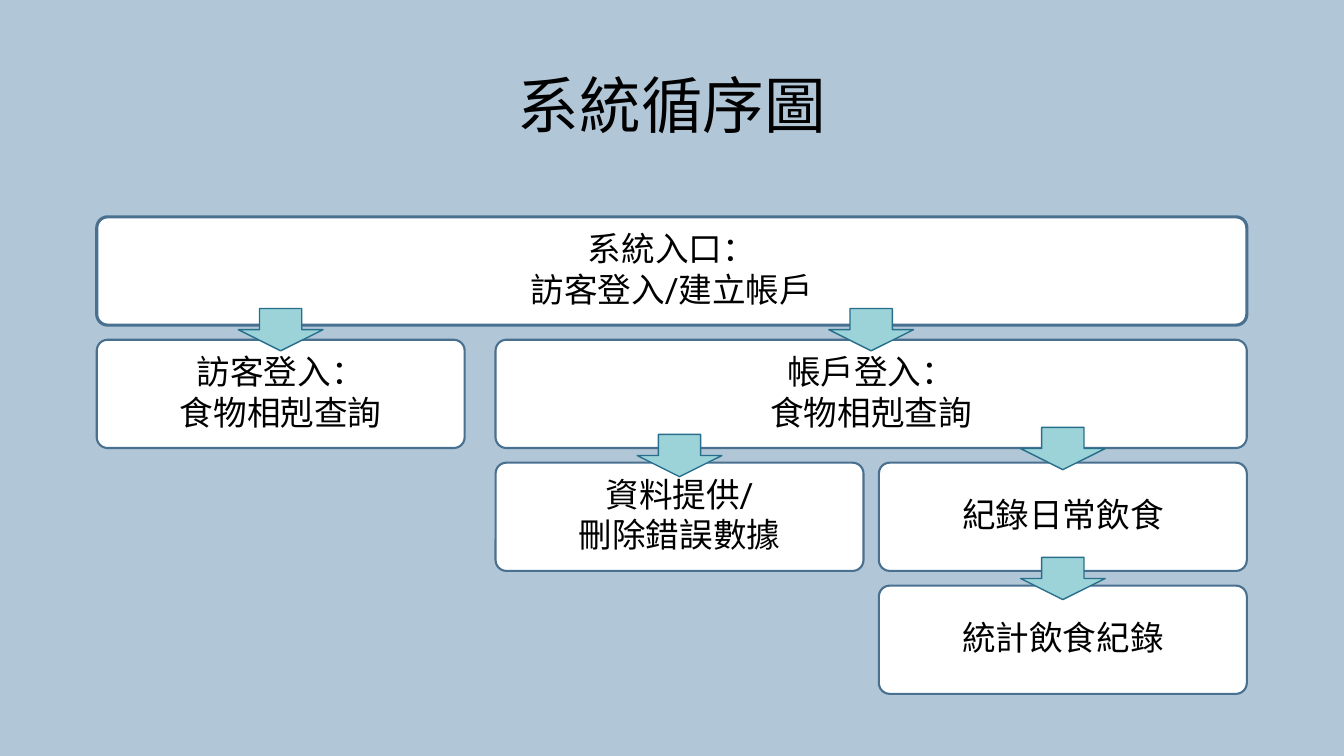
from pptx import Presentation
from pptx.dml.color import RGBColor
from pptx.enum.shapes import MSO_SHAPE as Shape
from pptx.enum.text import MSO_ANCHOR as Anchor, PP_ALIGN as Align
from pptx.util import Pt

TITLE = "系統循序圖"
BOXES = [
    {"lines": ["系統入口：", "訪客登入/建立帳戶"], "row": 0, "columns": (0, 2), "border": 2.25},
    {"lines": ["訪客登入：", "食物相剋查詢"], "row": 1, "columns": (0, 0), "arrow_rise": 22.3},
    {"lines": ["帳戶登入：", "食物相剋查詢"], "row": 1, "columns": (1, 2), "arrow_rise": 22.3},
    {"lines": ["資料提供/", "刪除錯誤數據"], "row": 2, "columns": (1, 1), "arrow_rise": 20.2},
    {"lines": ["紀錄日常飲食"], "row": 2, "columns": (2, 2), "arrow_rise": 25.2},
    {"lines": ["統計飲食紀錄"], "row": 3, "columns": (2, 2), "arrow_rise": 20.2},
]

COLUMN_LEFTS = (69.1, 354, 627.8)
COLUMN_WIDTH = 262.8
ROW_TOP, ROW_PITCH, BOX_HEIGHT = 154.9, 87.8, 77.3
ARROW_WIDTH, ARROW_HEIGHT = 60.5, 30.2
INSET = 9.4
TITLE_AREA = (48, 44, 864, 104.4)

BOX_FONT = {"name": "Roboto Slab", "size": Pt(24)}
TITLE_FONT = {"name": "Calibri", "size": Pt(44)}
BOX_PARAGRAPH = {"alignment": Align.CENTER, "line_spacing": 0.9, "space_after": Pt(3)}
TITLE_PARAGRAPH = {"alignment": Align.CENTER}
BOX_FRAME = {"word_wrap": True, "vertical_anchor": Anchor.MIDDLE}
BOX_FRAME |= {f"margin_{side}": Pt(INSET) for side in ("left", "top", "right", "bottom")}
TITLE_FRAME = {"word_wrap": True, "vertical_anchor": Anchor.TOP}


def color(value):
    return RGBColor.from_string(value)


def apply(target, values):
    for name, value in values.items():
        setattr(target, name, value)


def write(frame, lines, frame_format, paragraph_format, font_format):
    frame.text = "\n".join(lines)
    apply(frame, frame_format)
    for paragraph in frame.paragraphs:
        apply(paragraph, paragraph_format)
        for run in paragraph.runs:
            apply(run.font, font_format)
            run.font.color.rgb = color("000000")


def add_shape(slide, kind, area, fill, line, line_width):
    shape = slide.shapes.add_shape(kind, *map(Pt, area))
    shape.shadow.inherit = False
    shape.fill.solid()
    shape.fill.fore_color.rgb = color(fill)
    shape.line.color.rgb = color(line)
    shape.line.width = Pt(line_width)
    return shape


def box_area(box):
    first, last = box["columns"]
    left = COLUMN_LEFTS[first]
    width = COLUMN_LEFTS[last] + COLUMN_WIDTH - left
    return left, ROW_TOP + box["row"] * ROW_PITCH, width, BOX_HEIGHT


def add_box(slide, box):
    shape = add_shape(slide, Shape.ROUNDED_RECTANGLE, box_area(box),
                      "FFFFFF", "4A7090", box.get("border", 1.5))
    shape.adjustments[0] = 0.1
    write(shape.text_frame, box["lines"], BOX_FRAME, BOX_PARAGRAPH, BOX_FONT)


def add_arrow(slide, box):
    left, top, width, _ = box_area(box)
    area = (left + (width - ARROW_WIDTH) / 2, top - box["arrow_rise"],
            ARROW_WIDTH, ARROW_HEIGHT)
    add_shape(slide, Shape.DOWN_ARROW, area, "9BD3D9", "276F8B", 1)


def main():
    presentation = Presentation()
    apply(presentation, {"slide_width": Pt(960), "slide_height": Pt(540)})
    slide = presentation.slides.add_slide(presentation.slide_layouts[5])
    slide.background.fill.solid()
    slide.background.fill.fore_color.rgb = color("B1C6D7")

    title = slide.shapes.title
    apply(title, dict(zip(("left", "top", "width", "height"), map(Pt, TITLE_AREA))))
    write(title.text_frame, [TITLE], TITLE_FRAME, TITLE_PARAGRAPH, TITLE_FONT)

    for box in BOXES:
        add_box(slide, box)
    for box in BOXES:
        if "arrow_rise" in box:
            add_arrow(slide, box)
    presentation.save("out.pptx")


if __name__ == "__main__":
    main()
